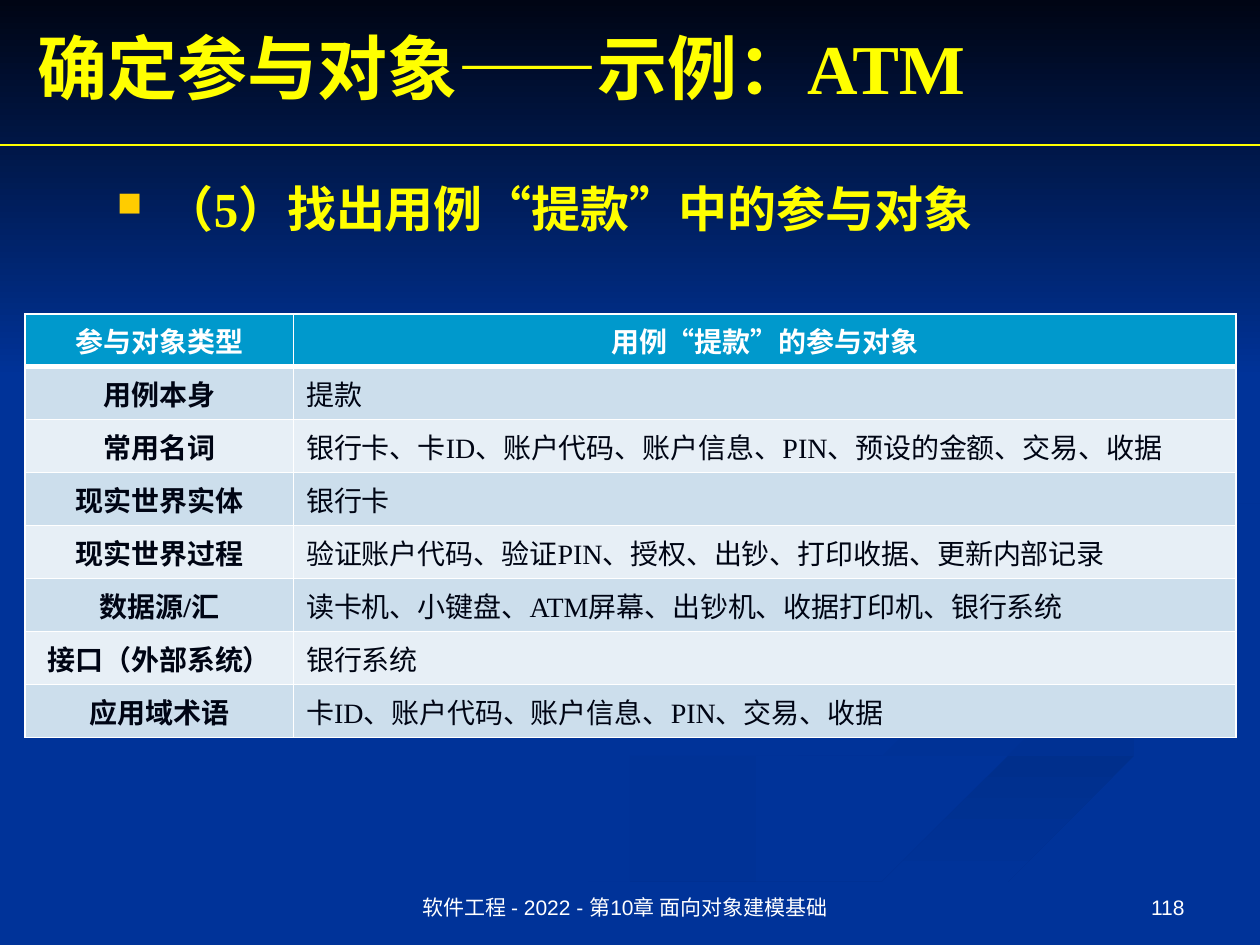
from lxml import etree
from pptx import Presentation
from pptx.dml.color import RGBColor
from pptx.enum.shapes import MSO_CONNECTOR
from pptx.enum.text import MSO_ANCHOR, MSO_AUTO_SIZE, PP_ALIGN
from pptx.oxml.ns import qn
from pptx.util import Inches, Pt

LEFT, CENTER, RIGHT = PP_ALIGN.LEFT, PP_ALIGN.CENTER, PP_ALIGN.RIGHT
TOP, MIDDLE, BOTTOM = MSO_ANCHOR.TOP, MSO_ANCHOR.MIDDLE, MSO_ANCHOR.BOTTOM
STRAIGHT = MSO_CONNECTOR.STRAIGHT
NO_AUTOFIT = MSO_AUTO_SIZE.NONE
SERIF, SANS = "Times New Roman", "Arial"

COLORS = {
    "background": "003399", "night": "000514", "yellow": "FFFF00",
    "white": "FFFFFF", "bullet": "FFCC00", "header": "0099CC",
    "row_dark": "CCDEEC", "row_light": "E7EFF6",
    "arc": "003193", "streak": "002F8C", "wave": "003091",
}

ARC = [
    (7.81, 5.53), (7.45, 5.38), (6.82, 5.19), (6.26, 5.02), (5.94, 4.85),
    (5.75, 4.6), (5.7, 4.72), (5.86, 4.87), (6.31, 5.05), (6.97, 5.25),
    (7.52, 5.43), (7.81, 5.56), (7.86, 5.66), (7.8, 5.79), (7.59, 5.9),
    (7.27, 6.02), (6.84, 6.13), (6.16, 6.29), (5.39, 6.49), (4.58, 6.74),
    (3.76, 7.07), (3, 7.49), (3.61, 7.49), (4.31, 7.14), (4.99, 6.87),
    (5.64, 6.65), (6.23, 6.47), (6.76, 6.34), (7.4, 6.18), (7.8, 6.05),
    (7.95, 5.92), (8, 5.81), (7.95, 5.67),
]
HOOK = [
    (9.43, 5.7), (9.35, 5.57), (9.05, 5.4), (8.5, 5.24), (7.92, 5.09),
    (7.45, 4.9), (7.24, 4.64), (7.33, 4.88), (7.66, 5.12), (8.15, 5.3),
    (8.68, 5.44), (9, 5.57), (9.15, 5.71), (9.17, 5.85), (9.07, 5.97),
    (8.94, 6.05), (9.25, 5.93), (9.41, 5.81),
]
STREAK = [
    (5.03, 7.49), (5.71, 7.49), (6.14, 7.26), (6.7, 7.02), (7.52, 6.72),
    (8.61, 6.4), (9.98, 6.09), (9.98, 5.81), (9.63, 5.94), (9.03, 6.1),
    (7.97, 6.38), (6.96, 6.69), (6.3, 6.93), (5.69, 7.19), (5.19, 7.47),
]
WAVE = [
    (7.81, 4.6), (7.91, 4.78), (8.26, 4.96), (8.05, 4.76), (8.16, 4.59),
    (8.59, 4.43), (9.36, 4.29), (9.98, 4.2), (9.98, 4.02), (9.33, 4.15),
    (8.49, 4.27), (7.99, 4.42),
]

ROWS = [
    ("参与对象类型", "用例“提款”的参与对象"),
    ("用例本身", "提款"),
    ("常用名词", "银行卡、卡ID、账户代码、账户信息、PIN、预设的金额、交易、收据"),
    ("现实世界实体", "银行卡"),
    ("现实世界过程", "验证账户代码、验证PIN、授权、出钞、打印收据、更新内部记录"),
    ("数据源/汇", "读卡机、小键盘、ATM屏幕、出钞机、收据打印机、银行系统"),
    ("接口（外部系统）", "银行系统"),
    ("应用域术语", "卡ID、账户代码、账户信息、PIN、交易、收据"),
]


def color(name):
    return RGBColor.from_string(COLORS[name])


class SlideBuilder:
    def __init__(self, slide):
        self.slide = slide
        self.slide.background.fill.solid()
        self.slide.background.fill.fore_color.rgb = color("background")

    def style(self, text_frame, size, tint, font=SERIF, bold=False, align=LEFT):
        for paragraph in text_frame.paragraphs:
            paragraph.alignment = align
            for run in paragraph.runs:
                run.font.name = font
                run.font.size = Pt(size)
                run.font.bold = bold
                run.font.color.rgb = color(tint)

    def freeform(self, points, start, end, angle):
        builder = self.slide.shapes.build_freeform(*points[0], scale=Inches(1))
        builder.add_line_segments(points[1:], close=True)
        shape = builder.convert_to_shape()
        shape.shadow.inherit = False
        shape.line.fill.background()
        shape.fill.gradient()
        shape.fill.gradient_angle = angle
        for stop, name in zip(shape.fill.gradient_stops, (start, end)):
            stop.color.rgb = color(name)

    def line(self, left, top, right, bottom):
        connector = self.slide.shapes.add_connector(
            STRAIGHT, Inches(left), Inches(top), Inches(right), Inches(bottom))
        connector.line.color.rgb = color("yellow")
        connector.line.width = Pt(0.75)
        etree.SubElement(connector.element.spPr, qn("a:effectLst"))

    def title(self, text, left, top, width, height):
        shape = self.slide.shapes.title
        shape.left, shape.top = Inches(left), Inches(top)
        shape.width, shape.height = Inches(width), Inches(height)
        text_frame = shape.text_frame
        text_frame.text = text
        text_frame.auto_size = NO_AUTOFIT
        text_frame.vertical_anchor = MIDDLE
        self.style(text_frame, 40, "yellow", bold=True)
        shape.element.getparent().append(shape.element)

    def text(self, text, left, top, width, height, anchor=BOTTOM, **style):
        shape = self.slide.shapes.add_textbox(
            Inches(left), Inches(top), Inches(width), Inches(height))
        text_frame = shape.text_frame
        text_frame.word_wrap = True
        text_frame.vertical_anchor = anchor
        text_frame.text = text
        self.style(text_frame, **style)
        return text_frame.paragraphs[0]

    def bullet(self, text, left, top, width, height):
        paragraph = self.text(text, left, top, width, height, anchor=TOP,
                              size=28, tint="yellow", bold=True)
        paragraph.line_spacing = 0.9
        properties = paragraph._p.get_or_add_pPr()
        properties.set("marL", str(Inches(0.38)))
        properties.set("indent", str(-Inches(0.38)))
        bullet_color = etree.SubElement(properties, qn("a:buClr"))
        etree.SubElement(bullet_color, qn("a:srgbClr"), val=COLORS["bullet"])
        etree.SubElement(properties, qn("a:buSzPct"), val="70000")
        etree.SubElement(properties, qn("a:buChar"), char="■")

    def borders(self, cell, row):
        properties = cell._tc.get_or_add_tcPr()
        top = 3 if row == 1 else 1
        bottom = 3 if row == 0 else 1
        for side, width in (("L", 1), ("R", 1), ("T", top), ("B", bottom)):
            line = etree.SubElement(properties, qn(f"a:ln{side}"), w=str(Pt(width)))
            fill = etree.SubElement(line, qn("a:solidFill"))
            etree.SubElement(fill, qn("a:srgbClr"), val=COLORS["white"])

    def table(self, rows, left, top, widths, row_height):
        table = self.slide.shapes.add_table(
            len(rows), len(widths), Inches(left), Inches(top),
            Inches(sum(widths)), Inches(row_height * len(rows))).table
        for column, width in zip(table.columns, widths):
            column.width = Inches(width)
        for row, texts in enumerate(rows):
            header = row == 0
            fill = "header" if header else ("row_light", "row_dark")[row % 2]
            for column, text in enumerate(texts):
                cell = table.cell(row, column)
                emphasis = header or column == 0
                cell.text_frame.text = text
                cell.vertical_anchor = MIDDLE
                self.borders(cell, row)
                cell.fill.solid()
                cell.fill.fore_color.rgb = color(fill)
                self.style(cell.text_frame, 16, "white" if header else "night",
                           bold=emphasis, align=CENTER if emphasis else LEFT)


def main():
    presentation = Presentation()
    presentation.slide_width, presentation.slide_height = Inches(10), Inches(7.5)
    builder = SlideBuilder(presentation.slides.add_slide(presentation.slide_layouts[5]))
    builder.freeform(ARC, "background", "arc", 0)
    builder.freeform(HOOK, "background", "arc", 315)
    builder.freeform(STREAK, "streak", "background", 270)
    builder.freeform(WAVE, "wave", "background", 315)
    builder.freeform([(0, 0), (0, 3.08), (10, 3.08), (10, 0)], "night", "background", 270)
    builder.text("118", 7.17, 6.83, 2.33, 0.52,
                 size=12, tint="white", font=SANS, align=RIGHT)
    builder.bullet("（5）找出用例“提款”中的参与对象", 0.83, 1.42, 8.42, 0.75)
    builder.text("软件工程 - 2022 - 第10章 面向对象建模基础", 3.11, 6.83, 3.7, 0.52,
                 size=12, tint="white", font=SANS, align=CENTER)
    builder.line(0, 1.15, 10, 1.15)
    builder.title("确定参与对象——示例：ATM", 0.2, 0.14, 9, 0.77)
    builder.table(ROWS, 0.2, 2.49, (2.13, 7.48), 0.42)
    presentation.save("out.pptx")


if __name__ == "__main__":
    main()
